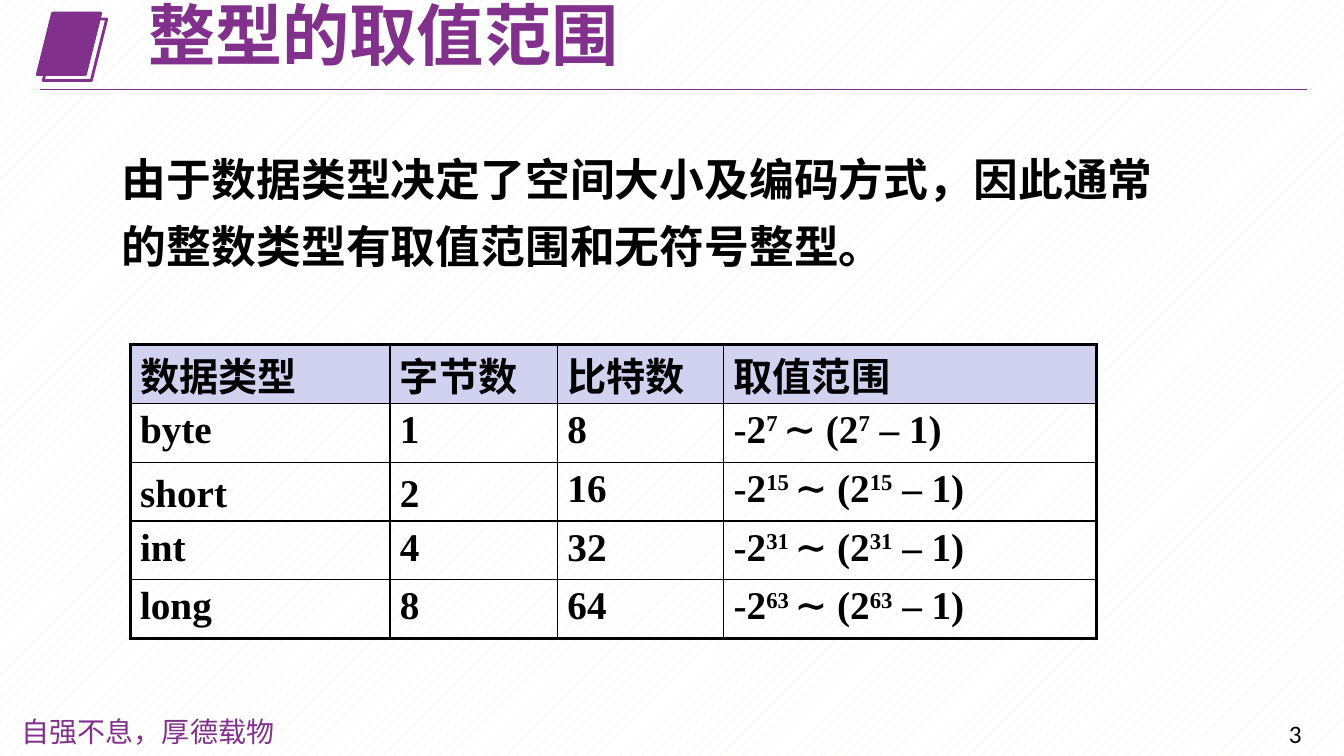
from lxml import etree
from pptx import Presentation
from pptx.dml.color import RGBColor
from pptx.enum.dml import MSO_PATTERN
from pptx.enum.shapes import MSO_CONNECTOR, MSO_SHAPE
from pptx.enum.text import MSO_ANCHOR, MSO_AUTO_SIZE, PP_ALIGN
from pptx.oxml.ns import qn
from pptx.util import Cm, Pt

SLANT = MSO_SHAPE.PARALLELOGRAM
LINE = MSO_CONNECTOR.STRAIGHT
DOTS = MSO_PATTERN.PERCENT_10
TOP, MIDDLE = MSO_ANCHOR.TOP, MSO_ANCHOR.MIDDLE
LEFT = PP_ALIGN.LEFT
FIXED = MSO_AUTO_SIZE.NONE

COLORS = {
    "purple": "81308C",
    "black": "000000",
    "white": "FFFFFF",
    "cream": "EEECE1",
    "head": "D1D1F0",
}
SANS, SERIF = "Noto Sans CJK SC", "Times New Roman"
TYPES = [("byte", 1), ("short", 2), ("int", 4), ("long", 8)]
HEADS = ["数据类型", "字节数", "比特数", "取值范围"]
WIDTHS = [6.55, 4.22, 4.19, 9.4]


def rgb(name):
    return RGBColor.from_string(COLORS[name])


def style(para, size, face, color, bold=False, asian=SANS):
    para.alignment = LEFT
    para.space_before = para.space_before or Pt(0)
    font = para.font
    font.size, font.name, font.bold = Pt(size), face, bold
    font.color.rgb = rgb(color)
    props = para._p.pPr.find(qn("a:defRPr"))
    etree.SubElement(props, qn("a:ea"), typeface=asian)


def place(shape, left, top, width, height):
    shape.left, shape.top = Cm(left), Cm(top)
    shape.width, shape.height = Cm(width), Cm(height)


def add_mark(slide, left, top):
    group = slide.shapes.add_group_shape()
    for shift, filled in ((0, True), (0.15, False)):
        tile = group.shapes.add_shape(
            SLANT, Cm(left + shift), Cm(top + shift), Cm(1.6), Cm(1.55))
        tile.shadow.inherit = False
        if filled:
            tile.fill.solid()
            tile.fill.fore_color.rgb = rgb("purple")
        else:
            tile.fill.background()
        tile.line.color.rgb = rgb("purple")
        tile.line.width = Pt(2)


def add_head(slide, left, top, width):
    add_mark(slide, left - 0.08, top + 0.2)
    title = slide.shapes.title
    place(title, left + 2.46, top, 19, 1.7)
    frame = title.text_frame
    frame.auto_size = FIXED
    frame.vertical_anchor = MIDDLE
    frame.text = "整型的取值范围"
    para = frame.paragraphs[0]
    para.line_spacing = 0.9
    style(para, 48, SANS, "purple", True)
    rule = slide.shapes.add_connector(
        LINE, Cm(left), Cm(top + 2.13), Cm(left + width), Cm(top + 2.13))
    rule.line.color.rgb = rgb("purple")
    rule.line.width = Pt(0.75)
    etree.SubElement(rule._element.spPr, qn("a:effectLst"))


def add_body(slide, left, top, width, height):
    body = slide.placeholders[1]
    place(body, left, top, width, height)
    frame = body.text_frame
    frame.auto_size = FIXED
    frame.vertical_anchor = TOP
    frame.text = ("由于数据类型决定了空间大小及编码方式，因此通常\n"
                  "的整数类型有取值范围和无符号整型。")
    frame.paragraphs[1].space_before = Pt(9)
    for para in frame.paragraphs:
        props = para._p.get_or_add_pPr()
        props.set("marL", "0")
        props.set("indent", "0")
        etree.SubElement(props, qn("a:buNone"))
        style(para, 32, SERIF, "black", True)


def add_edges(cell, sides):
    props = cell._tc.get_or_add_tcPr()
    for spot, (side, outer) in enumerate(sides.items()):
        width = Pt(2.25 if outer else 1)
        edge = etree.Element(qn(f"a:ln{side}"), w=str(int(width)))
        fill = etree.SubElement(edge, qn("a:solidFill"))
        etree.SubElement(fill, qn("a:srgbClr"), val=COLORS["black"])
        props.insert(spot, edge)


def write_range(para, bits):
    power = str(bits - 1)
    parts = [("-2", False), (power + " ", True), ("∼ (2", False),
             (power, True), (" – 1)", False)]
    for text, raised in parts:
        run = para.add_run()
        run.text = text
        if raised:
            run._r.get_or_add_rPr().set("baseline", "30000")


def fill_cell(cell, text, head):
    cell.margin_left = cell.margin_right = Cm(0.25)
    cell.margin_top = Cm(0.15 if head else 0.13)
    cell.margin_bottom = Cm(0)
    para = cell.text_frame.paragraphs[0]
    if text is not None:
        cell.text = text
        para = cell.text_frame.paragraphs[0]
    if head:
        cell.fill.solid()
        cell.fill.fore_color.rgb = rgb("head")
        para.line_spacing = 0.9
    else:
        cell.fill.background()
    style(para, 28, SANS if head else SERIF, "black", True)
    return para


def add_types(slide, left, top, height):
    rows, cols = len(TYPES) + 1, len(HEADS)
    table = slide.shapes.add_table(
        rows, cols, Cm(left), Cm(top), Cm(sum(WIDTHS)), Cm(height)).table
    table.first_row = table.horz_banding = False
    for col, width in zip(table.columns, WIDTHS):
        col.width = Cm(width)
    for row in table.rows:
        row.height = Cm(height / rows)
    data = [HEADS] + [[name, str(size), str(size * 8), None]
                      for name, size in TYPES]
    for r, texts in enumerate(data):
        for c, text in enumerate(texts):
            cell = table.cell(r, c)
            para = fill_cell(cell, text, r == 0)
            if text is None:
                write_range(para, TYPES[r - 1][1] * 8)
            if texts[0] == "short" and c < 2:
                cell.vertical_anchor = MIDDLE
            add_edges(cell, {"L": c == 0, "R": c == cols - 1,
                             "T": r == 0, "B": r == rows - 1})


def add_foot(slide, left, top, width):
    japan = "Noto Sans CJK JP"
    notes = [("自强不息，厚德载物", left, top, 7.06, 20, japan, "purple"),
             ("3", left + width - 1.55, top + 0.1, 1.55, 18, "Calibri", "black")]
    for text, x, y, wide, size, face, color in notes:
        box = slide.shapes.add_textbox(Cm(x), Cm(y), Cm(wide), Cm(1.05))
        box.text_frame.word_wrap = True
        box.text_frame.text = text
        style(box.text_frame.paragraphs[0], size, face, color, asian=japan)


def main():
    deck = Presentation()
    deck.slide_width, deck.slide_height = Cm(33.87), Cm(19.05)
    slide = deck.slides.add_slide(deck.slide_layouts[1])
    back = slide.background.fill
    back.patterned()
    back.pattern = DOTS
    back.fore_color.rgb = rgb("cream")
    back.back_color.rgb = rgb("white")
    add_head(slide, 1.02, 0.13, 31.93)
    add_body(slide, 2.82, 3.7, 27.76, 3.9)
    add_types(slide, 3.28, 8.69, 7.4)
    add_foot(slide, 0.3, 17.88, 33.48)
    deck.save("out.pptx")


if __name__ == "__main__":
    main()
